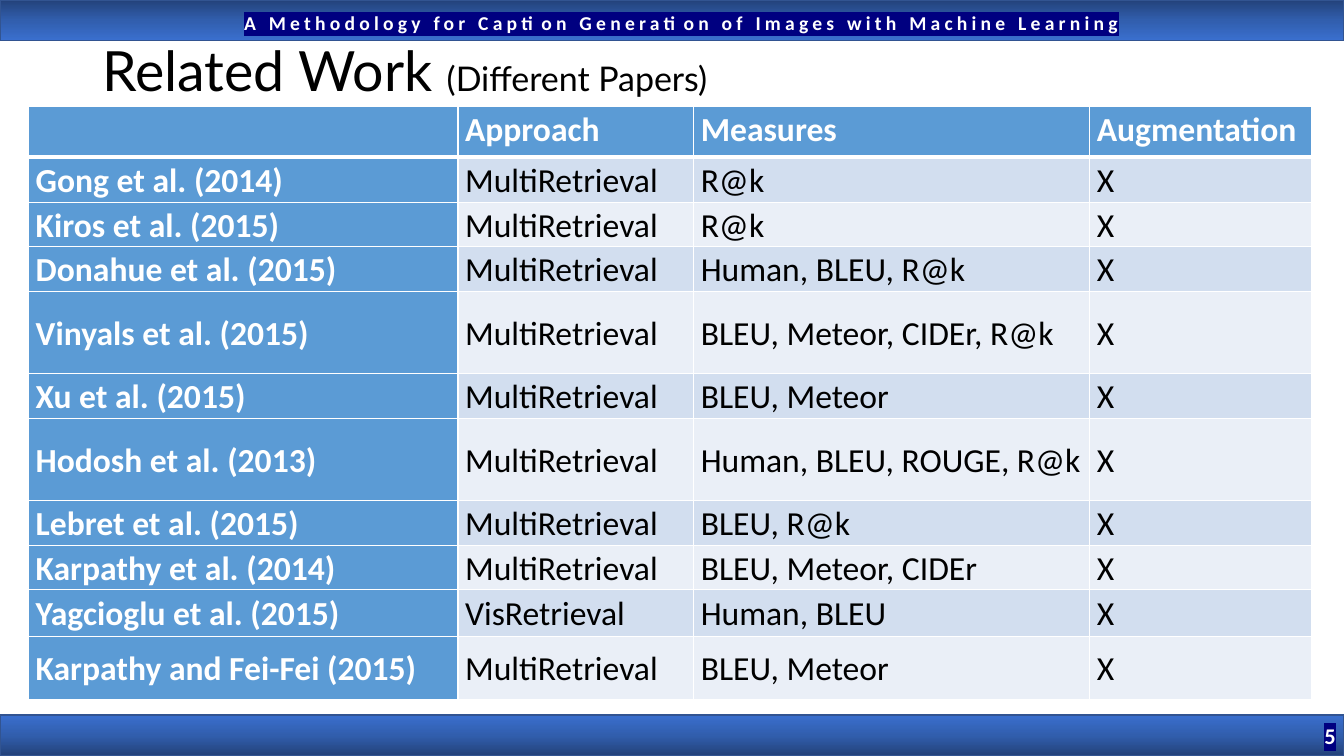
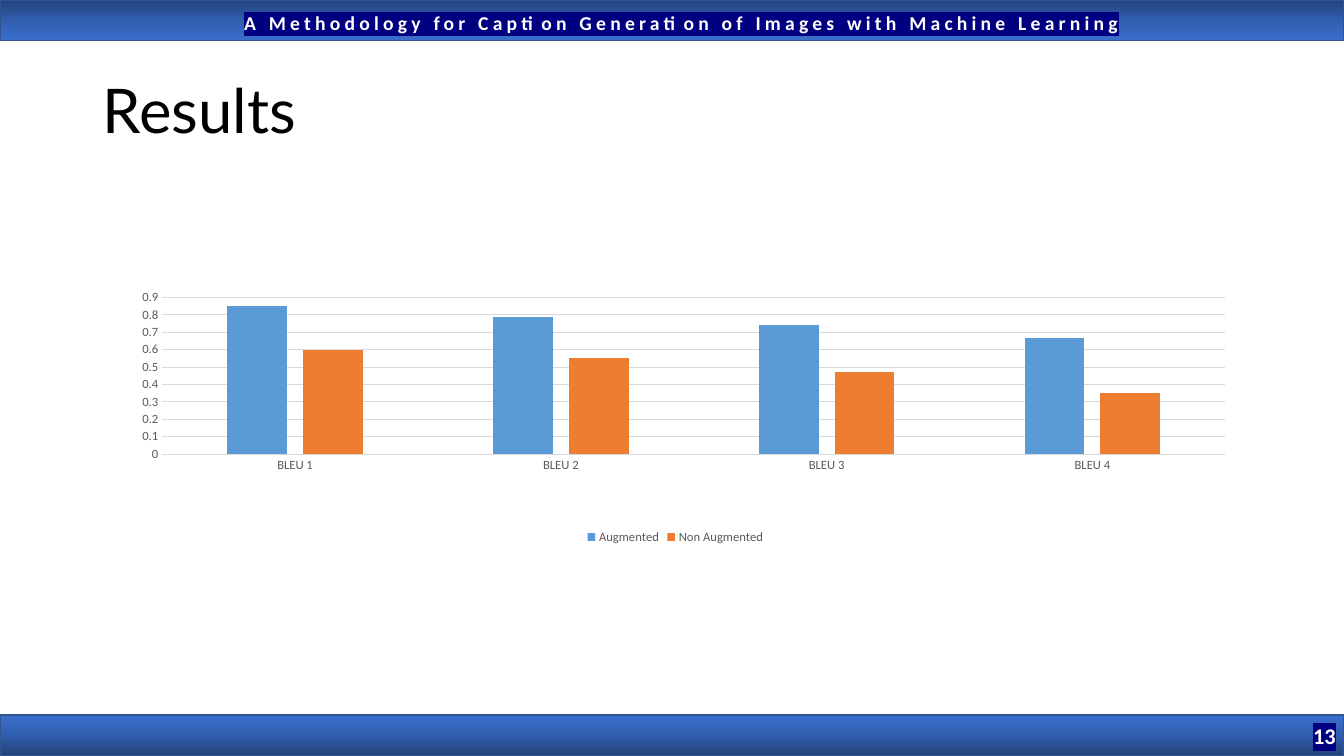
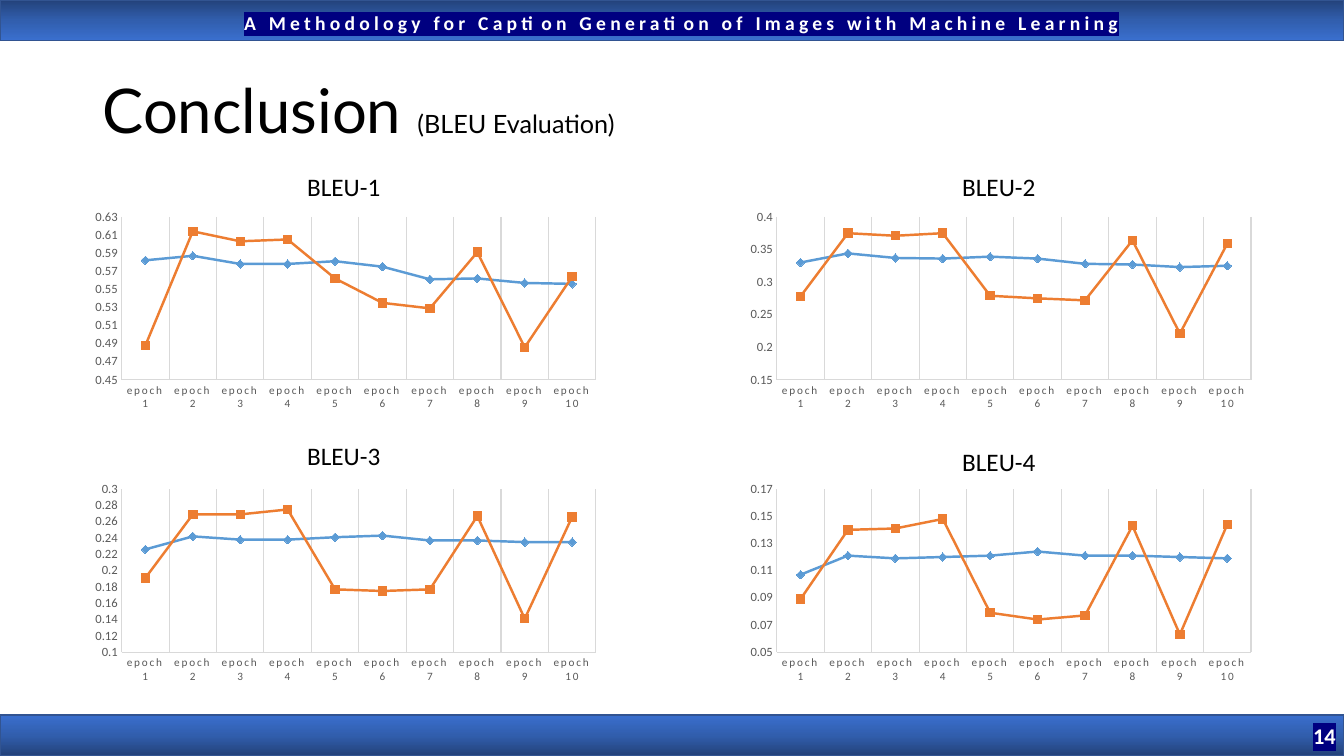
"""Builds three slides on caption generation: related work, results and conclusion."""
from copy import deepcopy
from dataclasses import dataclass

from lxml.etree import SubElement
from pptx import Presentation
from pptx.chart.data import CategoryChartData
from pptx.dml.color import RGBColor
from pptx.enum.chart import XL_CHART_TYPE, XL_LEGEND_POSITION, XL_MARKER_STYLE, XL_TICK_MARK
from pptx.enum.shapes import MSO_SHAPE
from pptx.enum.text import MSO_ANCHOR, MSO_AUTO_SIZE, PP_ALIGN
from pptx.oxml import parse_xml
from pptx.oxml.ns import nsdecls, qn
from pptx.util import Cm, Pt


@dataclass(frozen=True)
class Theme:
    """Colours, fonts and type sizes."""
    white: str = "FFFFFF"
    black: str = "000000"
    grey: str = "595959"
    rule: str = "D9D9D9"
    navy: str = "000080"
    edge: str = "325491"
    band: tuple = ("23427A", "315EAD", "3A6FCE")
    hues: tuple = ("5B9BD5", "ED7D31")
    rows: tuple = ("D2DEEF", "EAEFF7")
    head: str = "Lato"
    body: str = "Calibri"
    title: float = 44
    table: float = 24
    label: float = 18
    page: float = 16
    top: float = 14
    chart: float = 10
    axis: float = 9
    tick: float = 8


T = Theme()
WIDE, HIGH, BAR = 33.87, 19.05, 1.02
HEADER = "A Methodology for Caption Generation of Images with Machine Learning"

COLS = (10.82, 5.94, 9.98, 5.59)
ROWS = (1.27, 1.14, 1.12, 1.12, 2.08, 1.12, 2.08, 1.12, 1.12, 1.17, 1.6)
MULTI = "MultiRetrieval"
PAPERS = (
    ("Gong et al. (2014)", MULTI, "R@k"),
    ("Kiros et al. (2015)", MULTI, "R@k"),
    ("Donahue et al. (2015)", MULTI, "Human, BLEU, R@k"),
    ("Vinyals et al. (2015)", MULTI, "BLEU, Meteor, CIDEr, R@k"),
    ("Xu et al. (2015)", MULTI, "BLEU, Meteor"),
    ("Hodosh et al. (2013)", MULTI, "Human, BLEU, ROUGE, R@k"),
    ("Lebret et al. (2015)", MULTI, "BLEU, R@k"),
    ("Karpathy et al. (2014)", MULTI, "BLEU, Meteor, CIDEr"),
    ("Yagcioglu et al. (2015)", "VisRetrieval", "Human, BLEU"),
    ("Karpathy and Fei-Fei (2015)", MULTI, "BLEU, Meteor"),
)

SCORES = {
    "Augmented": (0.85, 0.79, 0.74, 0.67),
    "Non Augmented": (0.6, 0.55, 0.47, 0.35),
}

TRENDS = (
    ("BLEU-1", 4.19, (0.45, 0.63, 0.02),
     (0.582, 0.587, 0.578, 0.578, 0.581, 0.575, 0.561, 0.562, 0.557, 0.556),
     (0.488, 0.614, 0.603, 0.605, 0.562, 0.535, 0.529, 0.591, 0.486, 0.564)),
    ("BLEU-2", 4.19, (0.15, 0.4, 0.05),
     (0.33, 0.344, 0.337, 0.336, 0.339, 0.336, 0.328, 0.327, 0.323, 0.325),
     (0.278, 0.375, 0.371, 0.375, 0.279, 0.275, 0.272, 0.364, 0.221, 0.359)),
    ("BLEU-3", 10.97, (0.1, 0.3, 0.02),
     (0.226, 0.242, 0.238, 0.238, 0.241, 0.243, 0.237, 0.237, 0.235, 0.235),
     (0.191, 0.269, 0.269, 0.275, 0.177, 0.175, 0.177, 0.267, 0.141, 0.266)),
    ("BLEU-4", 11.13, (0.05, 0.17, 0.02),
     (0.107, 0.121, 0.119, 0.12, 0.121, 0.124, 0.121, 0.121, 0.12, 0.119),
     (0.089, 0.14, 0.141, 0.148, 0.079, 0.074, 0.077, 0.143, 0.063, 0.144)),
)


def ink(hue):
    """Turn a hex string into a colour."""
    return RGBColor.from_string(hue)


def style(font, size, hue, name=T.body, bold=False):
    """Set the look of a font."""
    font.name, font.bold = name, bold
    font.color.rgb = ink(hue)
    if size:
        font.size = Pt(size)


def label(slide, text, box, size, hue=T.black, bold=False, align=PP_ALIGN.LEFT,
          anchor=MSO_ANCHOR.TOP, wrap=True):
    """Add a one-line text box."""
    shape = slide.shapes.add_textbox(*map(Cm, box))
    frame = shape.text_frame
    frame.word_wrap, frame.vertical_anchor = wrap, anchor
    if not wrap:
        frame.auto_size = MSO_AUTO_SIZE.SHAPE_TO_FIT_TEXT
    para = frame.paragraphs[0]
    para.text, para.alignment = text, align
    style(para.font, size, hue, bold=bold)
    return shape


def mark(shape, gap=0):
    """Highlight a text and space its letters."""
    props = shape.text_frame.paragraphs[0].runs[0]._r.get_or_add_rPr()
    if gap:
        props.set("spc", str(gap * 100))
    SubElement(SubElement(props, qn("a:highlight")), qn("a:srgbClr")).set("val", T.navy)


def band(slide, top, angle):
    """Add a full-width gradient bar."""
    shape = slide.shapes.add_shape(MSO_SHAPE.RECTANGLE, 0, Cm(top), Cm(WIDE), Cm(BAR))
    shape.shadow.inherit = False
    shape.fill.gradient()
    stops = shape.element.xpath(".//a:gsLst")[0]
    stops.append(deepcopy(stops[0]))
    for i, (stop, hue) in enumerate(zip(shape.fill.gradient_stops, T.band)):
        stop.position, stop.color.rgb = i / 2, ink(hue)
    shape.fill.gradient_angle = angle
    shape.line.color.rgb, shape.line.width = ink(T.edge), Pt(1)
    return shape


def brand(deck, layout):
    """Put the bars and the running header on the layout."""
    for spare in list(layout.placeholders)[1:]:
        layout.shapes.element.remove(spare.element)
    slide = deck.slides[0]
    head = label(slide, HEADER, (0.48, 0.25, 33.39, 0.76), T.top, T.white, True,
                 PP_ALIGN.CENTER, MSO_ANCHOR.BOTTOM)
    head.text_frame.paragraphs[0].line_spacing = 0.9
    mark(head, 3)
    for shape in (band(slide, 0, 270), band(slide, 18.02, 90), head):
        layout.shapes.element.append(shape.element)


def page(slide, number):
    """Add the page number."""
    mark(label(slide, str(number), (26.29, 18.03, 7.62, 1.02), T.page, T.white, True,
               PP_ALIGN.RIGHT, MSO_ANCHOR.MIDDLE))


def title(slide, parts, high=3.68, space=0.9):
    """Fill the title from pairs of text and size."""
    shape = slide.shapes.title
    shape.left, shape.top, shape.width, shape.height = map(Cm, (2.33, 1.02, 29.21, high))
    frame = shape.text_frame
    frame.auto_size, frame.vertical_anchor = MSO_AUTO_SIZE.NONE, MSO_ANCHOR.MIDDLE
    para = frame.paragraphs[0]
    para.alignment, para.line_spacing = PP_ALIGN.LEFT, space
    style(para.font, None, T.black, T.head)
    for text, size in parts:
        run = para.add_run()
        run.text, run.font.size = text, Pt(size)


def border(cell, row):
    """Draw white cell borders, thick under the header row."""
    props = cell._tc.get_or_add_tcPr()
    for i, side in enumerate("LRTB"):
        wide = 3 if (side, row) in (("B", 0), ("T", 1)) else 1
        props.insert(i, parse_xml(
            f'<a:ln{side} {nsdecls("a")} w="{Pt(wide)}"><a:solidFill>'
            f'<a:srgbClr val="{T.white}"/></a:solidFill></a:ln{side}>'))


def grid(slide):
    """Add the table of papers."""
    data = [("", "Approach", "Measures", "Augmentation")]
    data += [(*paper, "X") for paper in PAPERS]
    table = slide.shapes.add_table(len(ROWS), len(COLS), Cm(0.72), Cm(2.69),
                                   Cm(sum(COLS)), Cm(sum(ROWS))).table
    table.first_col = True
    for col, wide in zip(table.columns, COLS):
        col.width = Cm(wide)
    for r, (line, high) in enumerate(zip(data, ROWS)):
        table.rows[r].height = Cm(high)
        for c, text in enumerate(line):
            cell, key = table.cell(r, c), r == 0 or c == 0
            cell.margin_left = cell.margin_right = Cm(0.18)
            cell.margin_top = cell.margin_bottom = 0
            cell.vertical_anchor = MSO_ANCHOR.MIDDLE if r else MSO_ANCHOR.TOP
            cell.fill.solid()
            cell.fill.fore_color.rgb = ink(T.hues[0] if key else T.rows[(r - 1) % 2])
            border(cell, r)
            para = cell.text_frame.paragraphs[0]
            para.text, para.line_spacing = text, 1.07
            style(para.font, T.table, T.white if key else T.black, bold=key)


def stroke(line, hue, wide=0.75):
    """Set a line's colour and width."""
    line.color.rgb, line.width = ink(hue), Pt(wide)


def plot(slide, kind, box, cats, series, scale, area):
    """Add a chart with the shared axis look."""
    data = CategoryChartData()
    data.categories = cats
    for name, vals in series.items():
        data.add_series(name, vals)
    chart = slide.shapes.add_chart(kind, *map(Cm, box), data).chart
    chart.has_title = chart.has_legend = False
    style(chart.font, T.chart, T.black)
    chart.plots[0].vary_by_categories = False
    cat, val = chart.category_axis, chart.value_axis
    for axis in (cat, val):
        axis.major_tick_mark = axis.minor_tick_mark = XL_TICK_MARK.NONE
        style(axis.tick_labels.font, T.axis, T.grey)
        stroke(axis.format.line, T.rule)
    val.minimum_scale, val.maximum_scale, val.major_unit = scale
    val.tick_labels.number_format = "General"
    val.tick_labels.number_format_is_linked = False
    place(chart, area)
    return chart


def place(chart, area):
    """Fix the inner plot area as fractions of the chart."""
    room = chart.element.xpath(".//c:plotArea")[0]
    for old in room.findall(qn("c:layout")):
        room.remove(old)
    modes = '<c:xMode val="edge"/><c:yMode val="edge"/>'
    sizes = "".join(f'<c:{k} val="{v}"/>' for k, v in zip("xywh", area))
    room.insert(0, parse_xml(
        f'<c:layout {nsdecls("c")}><c:manualLayout><c:layoutTarget val="inner"/>'
        f'{modes}{sizes}</c:manualLayout></c:layout>'))


def bars(slide):
    """Add the column chart of scores."""
    cats = [f"BLEU {i}" for i in range(1, 5)]
    chart = plot(slide, XL_CHART_TYPE.COLUMN_CLUSTERED, (2.49, 6.4, 29.06, 7.42),
                 cats, SCORES, (0, 0.9, 0.1), (0.055, 0.148, 0.922, 0.532))
    body = chart.plots[0]
    body.gap_width, body.overlap = 219, -27
    for item, hue in zip(body.series, T.hues):
        item.format.fill.solid()
        item.format.fill.fore_color.rgb = ink(hue)
    chart.value_axis.format.line.fill.background()
    stroke(chart.value_axis.major_gridlines.format.line, T.rule)
    chart.has_legend = True
    chart.legend.position = XL_LEGEND_POSITION.BOTTOM
    chart.legend.include_in_layout = False
    style(chart.legend.font, T.axis, T.grey)


def trend(slide, left, top, scale, series):
    """Add a line chart over the epochs."""
    cats = [f"epoch {i}" for i in range(1, 11)]
    chart = plot(slide, XL_CHART_TYPE.LINE_MARKERS, (left, top, 12.7, 5.08),
                 cats, series, scale, (0.058, 0.036, 0.942, 0.812))
    chart.value_axis.has_major_gridlines = False
    axis = chart.category_axis
    axis.has_major_gridlines = True
    stroke(axis.major_gridlines.format.line, T.rule)
    axis.tick_labels.font.size = Pt(T.tick)
    chart.element.xpath(".//c:catAx//a:defRPr")[0].set("spc", "120")
    signs = (XL_MARKER_STYLE.DIAMOND, XL_MARKER_STYLE.SQUARE)
    for item, hue, sign in zip(chart.plots[0].series, T.hues, signs):
        item.smooth = False
        stroke(item.format.line, hue, 1.75)
        item.marker.style, item.marker.size = sign, 6
        item.marker.format.fill.solid()
        item.marker.format.fill.fore_color.rgb = ink(hue)
        stroke(item.marker.format.line, hue)


def trends(slide):
    """Lay out the four line charts with their labels."""
    for i, (name, high, scale, *runs) in enumerate(TRENDS):
        left, top = 2.33 + i % 2 * 16.51, 5.28 + i // 2 * 6.86
        trend(slide, left, top, scale, dict(zip(("Series 1", "Series 2"), runs)))
        label(slide, name, (left + 5.16, high, 2.36, 1.02), T.label, wrap=False)


def main():
    """Build and save the deck."""
    deck = Presentation()
    deck.slide_width, deck.slide_height = Cm(WIDE), Cm(HIGH)
    layout = deck.slide_layouts[5]
    work, result, close = [deck.slides.add_slide(layout) for _ in range(3)]
    brand(deck, layout)
    for slide, number in ((work, 5), (result, 13), (close, 14)):
        page(slide, number)
    grid(work)
    title(work, (("Related Work ", 39.6), ("(Different Papers)", 24.3)), 1.78, 0.8)
    title(result, (("Results", T.title),))
    bars(result)
    title(close, (("Conclusion ", T.title), ("(BLEU Evaluation)", T.label)))
    trends(close)
    deck.save("out.pptx")


if __name__ == "__main__":
    main()
